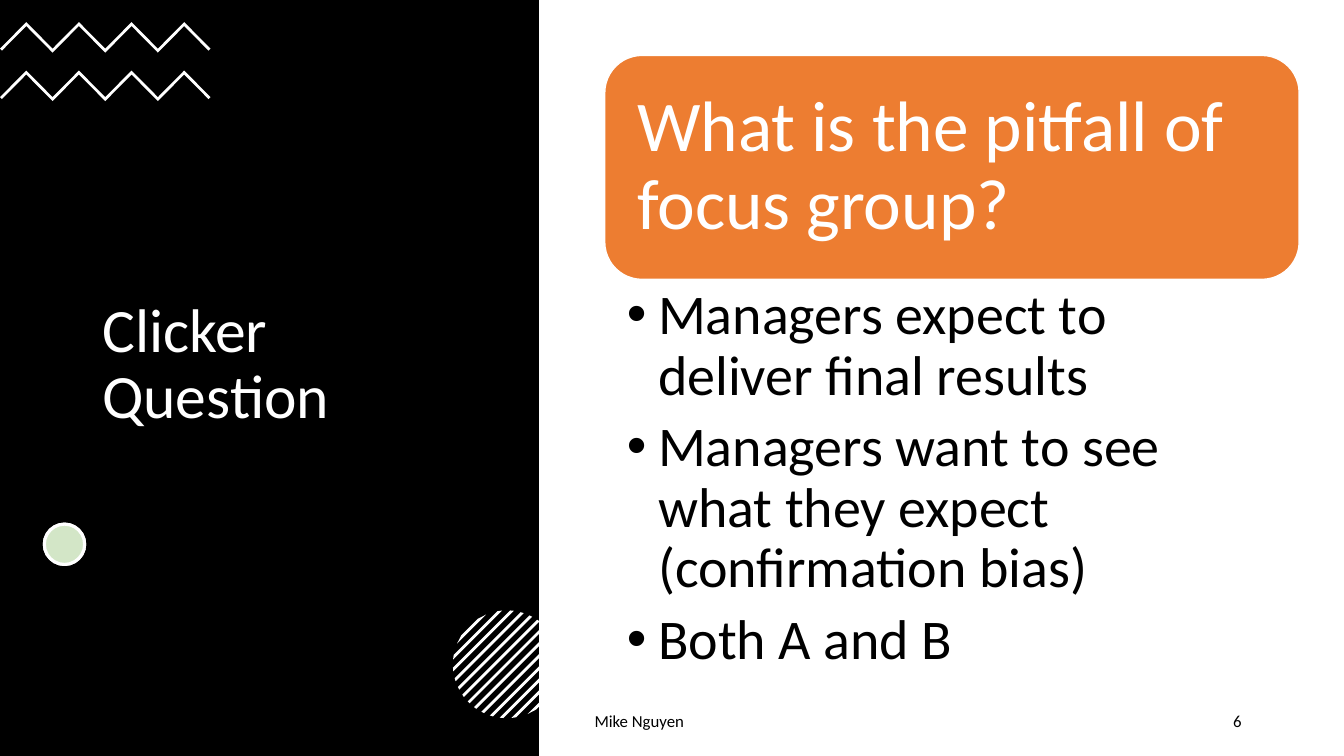
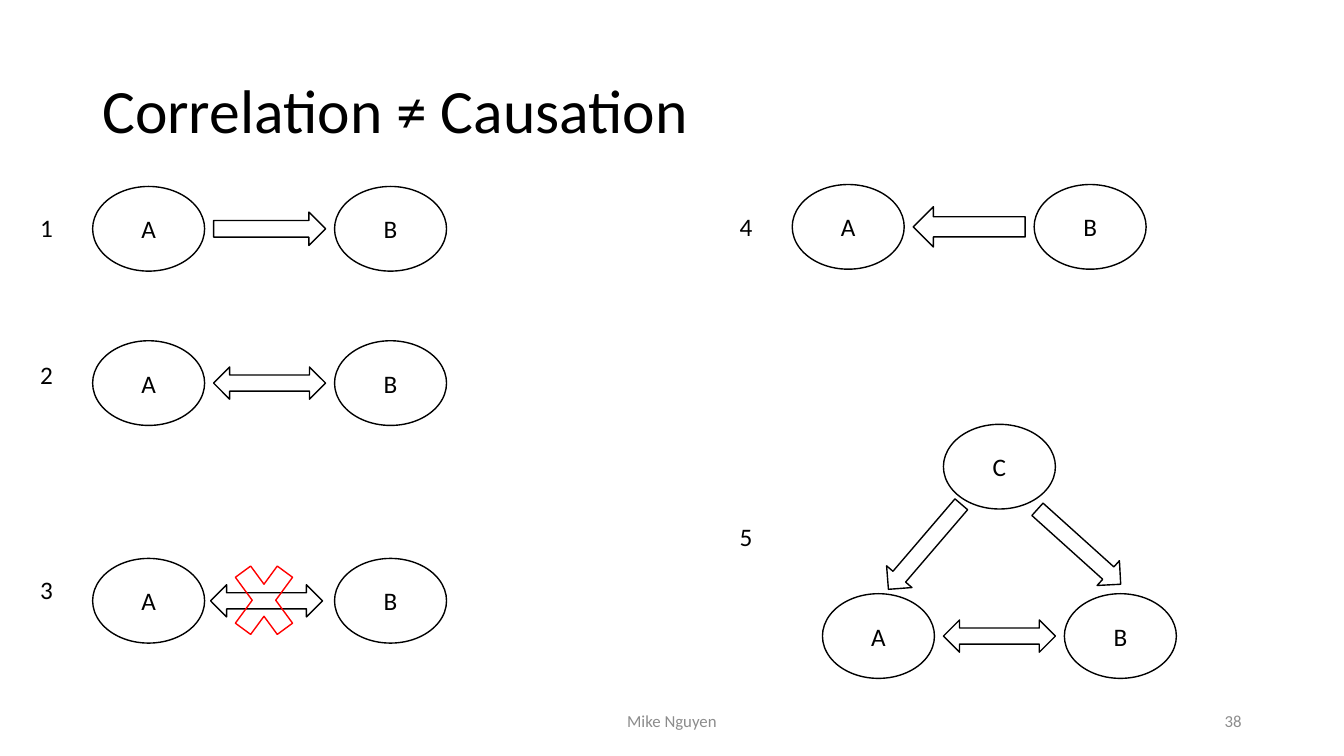
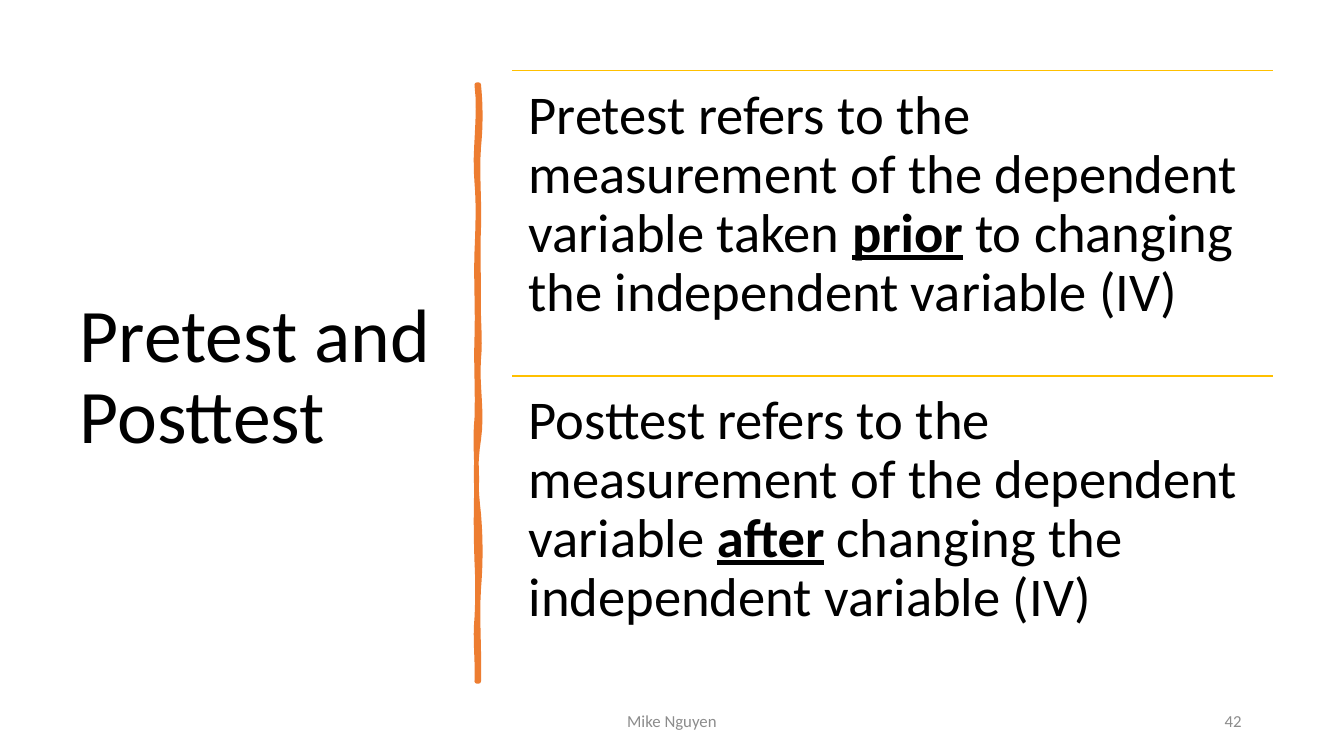
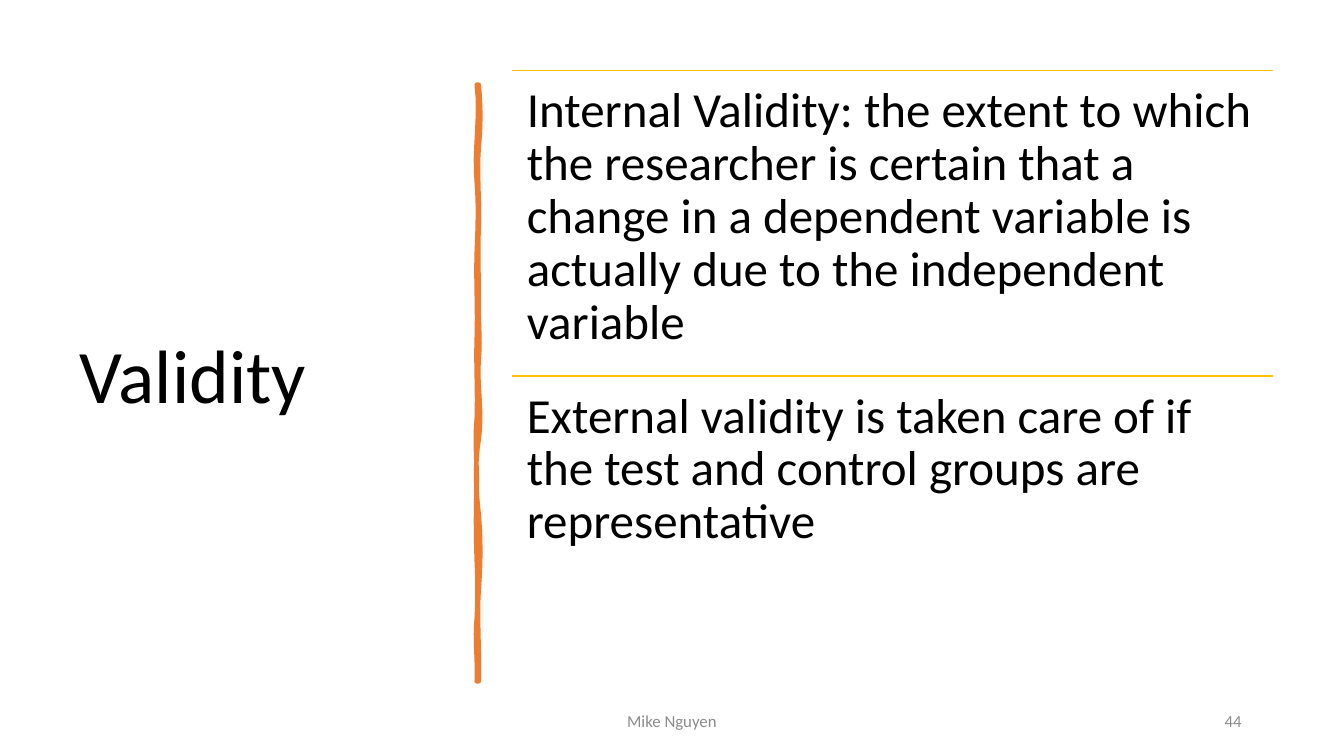
from dataclasses import dataclass
from math import sqrt

from lxml.etree import SubElement
from pptx import Presentation
from pptx.dml.color import RGBColor
from pptx.enum.shapes import MSO_CONNECTOR, MSO_SHAPE
from pptx.enum.text import MSO_ANCHOR, PP_ALIGN
from pptx.oxml.ns import qn
from pptx.util import Pt


@dataclass(frozen=True)
class Theme:
    font: str = "Calibri"
    black: str = "000000"
    white: str = "FFFFFF"
    grey: str = "8C8C8C"
    orange: str = "ED7D31"
    gold: str = "FFC000"
    green: str = "70AD47"
    red: str = "FF0000"
    footer_size: float = 12
    label_size: float = 18
    title_size: float = 44
    side_title_size: float = 54
    question_size: float = 51
    answer_size: float = 40


T = Theme()
WIDTH, HEIGHT = 960, 540
NODE_W, NODE_H = 80, 60.5
NODE_STEP = 86.4


def box(x, y, w, h):
    return Pt(x), Pt(y), Pt(w), Pt(h)


def set_all(obj, **values):
    for name, value in values.items():
        setattr(obj, name, value)


def paint(sp, fill=None, line=None, width=1.0):
    sp.shadow.inherit = False
    if fill:
        sp.fill.solid()
        sp.fill.fore_color.rgb = RGBColor.from_string(fill)
    else:
        sp.fill.background()
    if line:
        sp.line.color.rgb = RGBColor.from_string(line)
        sp.line.width = Pt(width)
    else:
        sp.line.fill.background()
    return sp


def add_preset(s, kind, x, y, w, h, rotation=0, **look):
    sp = s.shapes.add_shape(kind, *box(x, y, w, h))
    sp.rotation = rotation
    return paint(sp, **look)


def add_outline(s, points, **look):
    pts = [(Pt(x), Pt(y)) for x, y in points]
    builder = s.shapes.build_freeform(*pts[0])
    builder.add_line_segments(pts[1:], close=True)
    return paint(builder.convert_to_shape(), **look)


def write(sp, paragraphs, size, color=T.black, anchor=MSO_ANCHOR.TOP,
          insets=(7.2, 3.6, 7.2, 3.6), **para):
    """Fill a shape; a paragraph is a list of (text, format dict) runs."""
    tf = sp.text_frame
    left, top, right, bottom = map(Pt, insets)
    set_all(tf, word_wrap=True, vertical_anchor=anchor, margin_left=left,
            margin_top=top, margin_right=right, margin_bottom=bottom)
    for i, runs in enumerate(paragraphs):
        p = tf.add_paragraph() if i else tf.paragraphs[0]
        set_all(p, **({"alignment": PP_ALIGN.LEFT} | para))
        for text, extra in runs:
            r = p.add_run()
            r.text = text
            set_all(r.font, name=T.font, size=Pt(size), **extra)
            r.font.color.rgb = RGBColor.from_string(color)
    return tf


def add_text(s, x, y, w, h, paragraphs, size, **options):
    return write(s.shapes.add_textbox(*box(x, y, w, h)), paragraphs, size, **options)


def add_title(s, x, y, w, h, text, size=T.title_size, color=T.black):
    add_text(s, x, y, w, h, [[(text, {})]], size, color=color,
             anchor=MSO_ANCHOR.MIDDLE, line_spacing=0.9)


def add_footer(s, number, x=318, w=324, color=T.grey, alignment=PP_ALIGN.CENTER):
    for left, width, text, align in ((x, w, "Mike Nguyen", alignment),
                                     (678, 216, str(number), PP_ALIGN.RIGHT)):
        add_text(s, left, 500.5, width, 28.8, [[(text, {})]], T.footer_size,
                 color=color, anchor=MSO_ANCHOR.MIDDLE, alignment=align)


def add_zigzag(s, x, y, step=18.8, drop=19, thick=2.8, teeth=4):
    n = 2 * teeth
    top = [(i * step, 0 if i % 2 else drop) for i in range(n + 1)]
    low = [(px, py + thick) for px, py in top[1:-1]]
    cut = thick / 2
    low = [(cut, drop + cut), *low, (n * step - cut, drop + cut)]
    add_outline(s, [(x + px, y + py) for px, py in top + low[::-1]], fill=T.white)


def add_hatched_disc(s, cx, cy, radius=38.5, step=6.1, half=1.0, stripes=13):
    """Diagonal stripes, each cut off at the rim of a disc."""
    for k in range(stripes):
        middle = (k - stripes // 2) * step
        corners = []
        for d, sign in ((middle - half, 1), (middle + half, -1)):
            chord = sqrt(radius ** 2 - d ** 2)
            corners += [(d, sign * chord), (d, -sign * chord)]
        add_outline(s, [(cx + (d + c) / sqrt(2), cy + (d - c) / sqrt(2))
                        for d, c in corners], fill=T.white)


def add_dark_panel(s, w, h, title):
    add_preset(s, MSO_SHAPE.RECTANGLE, 0, 0, w, h, fill=T.black)
    add_title(s, 66, 94.3, 252, 333.4, title, color=T.white)
    for y in (15.8, 50.4):
        add_zigzag(s, 0, y)
    dot = (31.7, 374.4, 28.8, 28.8)
    add_preset(s, MSO_SHAPE.OVAL, *dot, fill=T.white, line=T.white, width=2.25)
    tint = add_preset(s, MSO_SHAPE.OVAL, *dot, fill=T.green, line=T.white, width=2.25)
    color = next(tint._element.spPr.iter(qn("a:srgbClr")))
    SubElement(color, qn("a:alpha"), val="30000")
    add_hatched_disc(s, w - 23, h - 65.5)


def add_question(s, x, y, w, question, answers):
    card_h, pad = 160, 8
    add_preset(s, MSO_SHAPE.ROUNDED_RECTANGLE, x, y, w, card_h, fill=T.orange, line=T.white)
    add_text(s, x + pad, y + pad, w - 2 * pad, card_h - 2 * pad, [[(question, {})]],
             T.question_size, color=T.white, anchor=MSO_ANCHOR.MIDDLE,
             insets=(15.1,) * 4, line_spacing=0.9)
    tf = add_text(s, x, y + card_h, w, 299.5, [[(a, {})] for a in answers], T.answer_size,
                  insets=(15.8, 5, 28.8, 5), line_spacing=0.9, space_after=Pt(8))
    for p in tf.paragraphs:
        pPr = p._p.get_or_add_pPr()
        pPr.set("marL", str(Pt(22.3)))
        pPr.set("indent", str(-Pt(22.3)))
        SubElement(pPr, qn("a:buFont"), typeface="Arial")
        SubElement(pPr, qn("a:buChar"), char="•")


def add_node(s, x, y, letter):
    sp = add_preset(s, MSO_SHAPE.OVAL, x, y, NODE_W, NODE_H, line=T.black)
    write(sp, [[(letter, {})]], T.label_size, anchor=MSO_ANCHOR.MIDDLE,
          alignment=PP_ALIGN.CENTER)


def add_number(s, x, y, number):
    add_text(s, x, y, 44.6, 28.8, [[(str(number), {})]], T.label_size)


def add_pair(s, x, y, arrow, arrow_h=23, shift=0, fill=None):
    """Nodes A and B with an arrow centred between them."""
    add_node(s, x, y, "A")
    add_node(s, x + 2 * NODE_STEP, y, "B")
    add_preset(s, arrow, x + NODE_STEP + shift, y + (NODE_H - arrow_h) / 2,
               NODE_W, arrow_h, fill=fill, line=T.black)


def add_common_cause(s, x, y):
    add_pair(s, x, y, MSO_SHAPE.LEFT_RIGHT_ARROW)
    add_node(s, x + NODE_STEP, y - 121, "C")
    for dx, angle in ((33.1, 130.6), (143.3, 42)):
        add_preset(s, MSO_SHAPE.RIGHT_ARROW, x + dx, y - 45.4, NODE_W, 23.8,
                   rotation=angle, line=T.black)


def wavy_edge(knots, base, length, steps=8):
    """Points down an edge; a knot is (y, first pull, second pull)."""
    ends = [y for y, _, _ in knots[1:]] + [length]
    for (y, a, b), end in zip(knots, ends):
        for i in range(steps):
            t = i / steps
            u = 1 - t
            yield (base * (u ** 3 + t ** 3) + 3 * u * t * (u * a + t * b),
                   y + t * (end - y))
    yield base, length


def add_wavy_bar(s, x, y, length=426.2):
    right = [(0, 2.2, 2.2), (44.6, -0.7, 1.4), (102.2, 0, 0.7), (151.2, 0, 2.2),
             (195.8, -0.7, 3.6), (253.4, -2.2, -1.4), (306.7, 2.2, 2.2), (360, -0.7, 1.4)]
    left = [(0, 2.2, -2.9), (69.8, 0.7, 0), (119.5, -1.4, 0), (180.7, -1.4, 0),
            (238.3, -2.2, -0.7), (283, -1.4, -1.4), (340.6, 0, 0), (380.9, -2.2, 0)]
    points = [*wavy_edge(right, 0.7, length), *reversed([*wavy_edge(left, -0.7, length)])]
    bar = add_outline(s, [(x + px, y + py) for px, py in points],
                      fill=T.orange, line=T.orange, width=3.25)
    SubElement(bar.line._get_or_add_ln(), qn("a:round"))


def add_ruled_text(s, x, y, w, h, runs, size):
    rule = s.shapes.add_connector(MSO_CONNECTOR.STRAIGHT, Pt(x), Pt(y), Pt(x + w), Pt(y))
    rule.line.color.rgb = RGBColor.from_string(T.gold)
    rule.line.width = Pt(1)
    SubElement(rule._element.spPr, qn("a:effectLst"))
    add_text(s, x, y, w, h, [runs], size, insets=(size * 0.3,) * 4, line_spacing=0.9)


def question_slide(s):
    add_dark_panel(s, 385, HEIGHT, "Clicker Question")
    add_question(s, 432, 39.6, 496, "What is the pitfall of focus group?", [
        "Managers expect to deliver final results",
        "Managers want to see what they expect (confirmation bias)",
        "Both A and B"])
    add_footer(s, 6, x=417.6, w=346, color=T.black, alignment=PP_ALIGN.LEFT)


def causation_slide(s):
    add_title(s, 66, 28.8, 828, 104.4, "Correlation ≠ Causation")
    left, right, number_gap = 66.2, 565.9, 44.6
    both = MSO_SHAPE.LEFT_RIGHT_ARROW
    cases = [
        (left, 133.2, 15.1, {"arrow": MSO_SHAPE.RIGHT_ARROW, "arrow_h": 23.8}),
        (left, 243.4, 9.4, {"arrow": both}),
        (left, 398.9, 7.9, {"arrow": both, "shift": -2.2}),
        (right, 131.8, 15.8, {"arrow": MSO_SHAPE.LEFT_ARROW, "arrow_h": 28.8,
                              "fill": T.white}),
    ]
    for number, (x, y, number_drop, arrow) in enumerate(cases, 1):
        add_number(s, x - number_gap, y + number_drop, number)
        add_pair(s, x, y, **arrow)
    add_preset(s, MSO_SHAPE.MATH_MULTIPLY, left + 93.6, 389.5, 57.6, 78.5, line=T.red)
    add_number(s, right - number_gap, 368.6, 5)
    add_common_cause(s, 587.5, 424.1)
    add_footer(s, 38)


def definition_slide(s, title, entries, size, number):
    add_title(s, 50, 50.4, 269.3, 440, title, size=T.side_title_size)
    add_wavy_bar(s, 341.3, 60.5)
    row_h = 218.2
    for i, runs in enumerate(entries):
        add_ruled_text(s, 365.8, 50.4 + i * row_h, 543.6, row_h, runs, size)
    add_footer(s, number)


def main():
    prs = Presentation()
    set_all(prs, slide_width=Pt(WIDTH), slide_height=Pt(HEIGHT))
    stress = {"bold": True, "underline": True}
    pretest = [
        [("Pretest refers to the measurement of the dependent variable taken ", {}),
         ("prior", stress), (" to changing the independent variable (IV)", {})],
        [("Posttest refers to the measurement of the dependent variable ", {}),
         ("after", stress), (" changing the independent variable (IV)", {})],
    ]
    validity = [
        [("Internal Validity: the extent to which the researcher is certain that a change "
          "in a dependent variable is actually due to the independent variable", {})],
        [("External validity is taken care of if the test and control groups are "
          "representative", {})],
    ]
    for build, args in ((question_slide, ()), (causation_slide, ()),
                        (definition_slide, ("Pretest and Posttest", pretest, 39, 42)),
                        (definition_slide, ("Validity", validity, 35, 44))):
        build(prs.slides.add_slide(prs.slide_layouts[6]), *args)
    prs.save("out.pptx")


if __name__ == "__main__":
    main()
